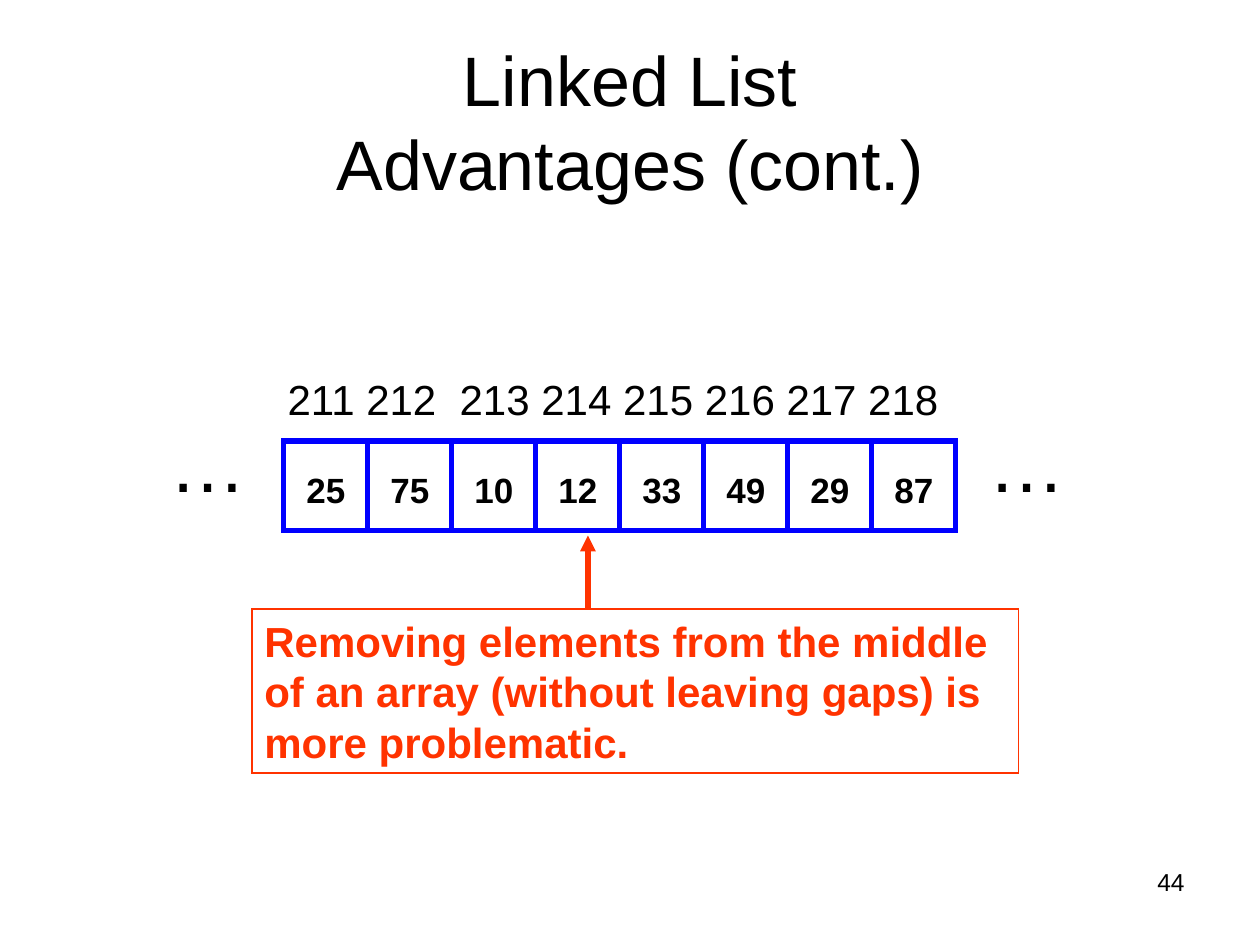
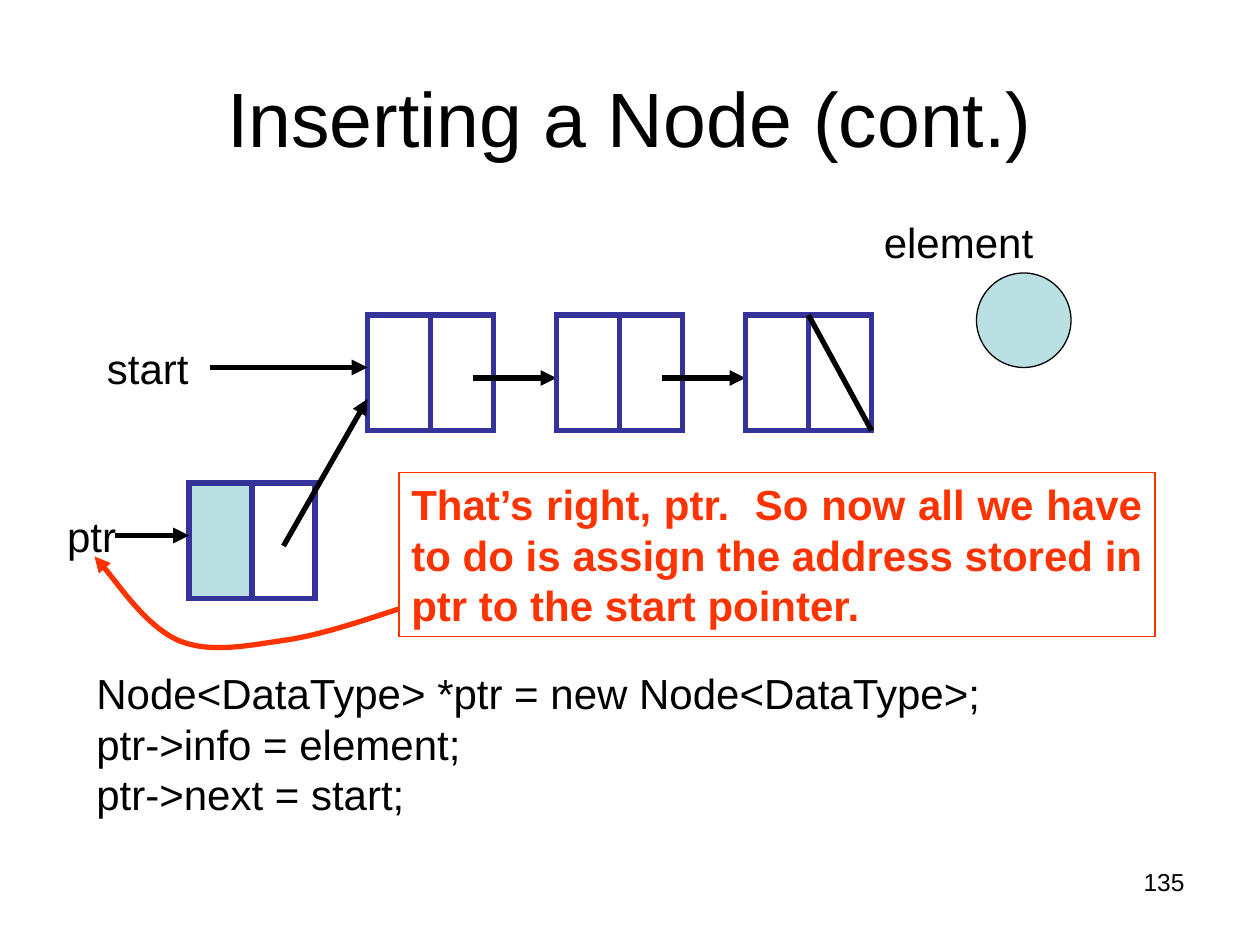
from lxml import etree
from pptx import Presentation
from pptx.dml.color import RGBColor
from pptx.enum import shapes, text
from pptx.oxml import ns
from pptx.util import Pt

# Content
ARRAY = {
    "title": "Linked List\vAdvantages (cont.)", "size": 40, "top": 24, "page": "44",
    "index": "211 212  213 214 215 216 217 218",
    "values": [25, 75, 10, 12, 33, 49, 29, 87],
    "note": "Removing elements from the middle of an array "
            "(without leaving gaps) is more problematic.",
}
INSERT = {
    "title": "Inserting a Node (cont.)", "size": 44, "top": 21.5, "page": "135",
    "labels": [("element", 498, 120, 174), ("start", 54, 192, 120), ("ptr", 31.3, 288, 52.7)],
    "code": ["Node<DataType> *ptr = new Node<DataType>;",
             "ptr->info = element;",
             "ptr->next = start;"],
    "note": "That’s right, ptr.  So now all we have to do is assign "
            "the address stored in ptr to the start pointer.",
    "curve": [(228, 348), (205, 355.5), (183, 363), (162, 366),
              (141, 369), (120, 373.5), (102, 366), (84, 358), (62, 326), (54, 318)],
}


class Theme:
    font = "Arial"
    black, white = "000000", "FFFFFF"
    red, blue, navy, aqua = "FF3300", "0000FF", "333399", "BBE0E3"
    dots, body, cell, page = 44, 24, 20, 14
    thin, bold = 0.75, 3


ALIGN, ANCHOR, FORM = text.PP_ALIGN, text.MSO_ANCHOR, shapes.MSO_SHAPE


# Shared helpers
def rgb(code):
    return RGBColor.from_string(code)


def write(box, lines, size=Theme.body, color=Theme.black, bold=False,
          align=ALIGN.LEFT, anchor=ANCHOR.TOP):
    frame = box.text_frame
    look = {"word_wrap": True, "auto_size": text.MSO_AUTO_SIZE.NONE,
            "vertical_anchor": anchor, "margin_left": Pt(7.2), "margin_right": Pt(7.2),
            "margin_top": Pt(3.6), "margin_bottom": Pt(3.6)}
    for key, val in look.items():
        setattr(frame, key, val)
    frame.text = "\n".join(lines)
    for para in frame.paragraphs:
        para.alignment = align
        for key, val in {"name": Theme.font, "size": Pt(size), "bold": bold}.items():
            setattr(para.font, key, val)
        para.font.color.rgb = rgb(color)


def label(page, words, x, y, w, h=36, **look):
    box = page.shapes.add_textbox(*map(Pt, (x, y, w, h)))
    write(box, [words] if isinstance(words, str) else words, **look)


def stroke(item, color, width):
    item.line.color.rgb = rgb(color)
    item.line.width = Pt(width)


def detail(item, tag, **values):
    etree.SubElement(item.line._get_or_add_ln(), ns.qn(tag), values)


def arrow(item):
    detail(item, "a:tailEnd", type="triangle")


def shape(page, x, y, w, h, color, width=Theme.bold, fill=None, form=FORM.RECTANGLE):
    item = page.shapes.add_shape(form, *map(Pt, (x, y, w, h)))
    item.shadow.inherit = False
    if fill:
        item.fill.solid()
        item.fill.fore_color.rgb = rgb(fill)
    else:
        item.fill.background()
    stroke(item, color, width)
    detail(item, "a:miter", lim="800000")
    return item


def line(page, ends, color=Theme.black, head=False):
    item = page.shapes.add_connector(shapes.MSO_CONNECTOR.STRAIGHT, *map(Pt, ends))
    stroke(item, color, Theme.bold)
    if head:
        arrow(item)
    etree.SubElement(item._element.spPr, ns.qn("a:effectLst"))


def note(page, words, x, y, w, align=ALIGN.LEFT):
    box = shape(page, x, y, w, 93.75, Theme.red, Theme.thin)
    write(box, [words], color=Theme.red, bold=True, align=align)


def curve(page, points):
    pts = [(Pt(x), Pt(y)) for x, y in points]
    form = page.shapes.build_freeform(*pts[0])
    form.add_line_segments(pts[1:], close=False)
    item = form.convert_to_shape()
    item.shadow.inherit = False
    item.fill.background()
    stroke(item, Theme.red, Theme.bold)
    arrow(item)
    # Each three line segments become one cubic curve
    track = item._element.find(".//" + ns.qn("a:path"))
    legs = track.findall(ns.qn("a:lnTo"))
    for i in range(0, len(legs), 3):
        bend = etree.SubElement(track, ns.qn("a:cubicBezTo"))
        for leg in legs[i:i + 3]:
            bend.append(leg[0])
            track.remove(leg)


def start(deck, data):
    page = deck.slides.add_slide(deck.slide_layouts[5])
    title = page.shapes.title
    spot = {"left": 36, "top": data["top"], "width": 648, "height": 90}
    for key, val in spot.items():
        setattr(title, key, Pt(val))
    write(title, [data["title"]], size=data["size"], align=ALIGN.CENTER,
          anchor=ANCHOR.MIDDLE)
    label(page, data["page"], 516, 492, 168, 37.5, size=Theme.page, align=ALIGN.RIGHT)
    return page


# Array slide
def array(deck):
    page = start(deck, ARRAY)
    left, top, wide, high = 162, 252, 48, 51
    for x in (90, 558):
        label(page, "…", x, 234, 84, 60.5, size=Theme.dots)
    note(page, ARRAY["note"], 144, 348, 438)
    line(page, (336, 348, 336, 306), Theme.red, head=True)
    label(page, ARRAY["index"], 157.3, 210, 466)
    for i, val in enumerate(ARRAY["values"]):
        x = left + i * wide
        shape(page, x, top, wide, high, Theme.blue, fill=Theme.white)
        label(page, str(val), x + 6, top + 12, wide, 24, size=Theme.cell, bold=True)


# Insertion slide
def insert(deck):
    page = start(deck, INSERT)
    left, top, half, high, step, count = 210, 180, 36, 66, 108, 3
    shape(page, 558, 156, 54, 54, Theme.black, Theme.thin, Theme.aqua, FORM.OVAL)
    for words, x, y, w in INSERT["labels"]:
        label(page, words, x, y, w)
    label(page, INSERT["code"], 48, 378, 636, 93.5, align=ALIGN.JUSTIFY,
          anchor=ANCHOR.MIDDLE)
    note(page, INSERT["note"], 228, 270, 432, ALIGN.JUSTIFY)
    curve(page, INSERT["curve"])

    # Linked nodes, the last one with a null slash
    for i in range(count):
        x = left + i * step
        mid, end = x + half, x + 2 * half
        shape(page, x, top, 2 * half, high, Theme.navy)
        line(page, (mid, top, mid, top + high), Theme.navy)
        if i < count - 1:
            line(page, (x + 60, 216, x + step, 216), head=True)
        else:
            line(page, (mid, top, end, top + high))

    # New node, each half closed by a bar, and the pointers
    base = 276
    for x, fill in ((108, Theme.aqua), (108 + half, None)):
        end = x + half
        shape(page, x, base, half, high, Theme.navy, fill=fill)
        line(page, (end, base, end, base + high), Theme.navy)
    for ends in ((120, 210, left, 210), (66, 306, 108, 306), (162, 312, left, 228)):
        line(page, ends, head=True)


def main():
    deck = Presentation()
    deck.slide_width, deck.slide_height = Pt(720), Pt(540)
    array(deck)
    insert(deck)
    deck.save("out.pptx")


if __name__ == "__main__":
    main()
